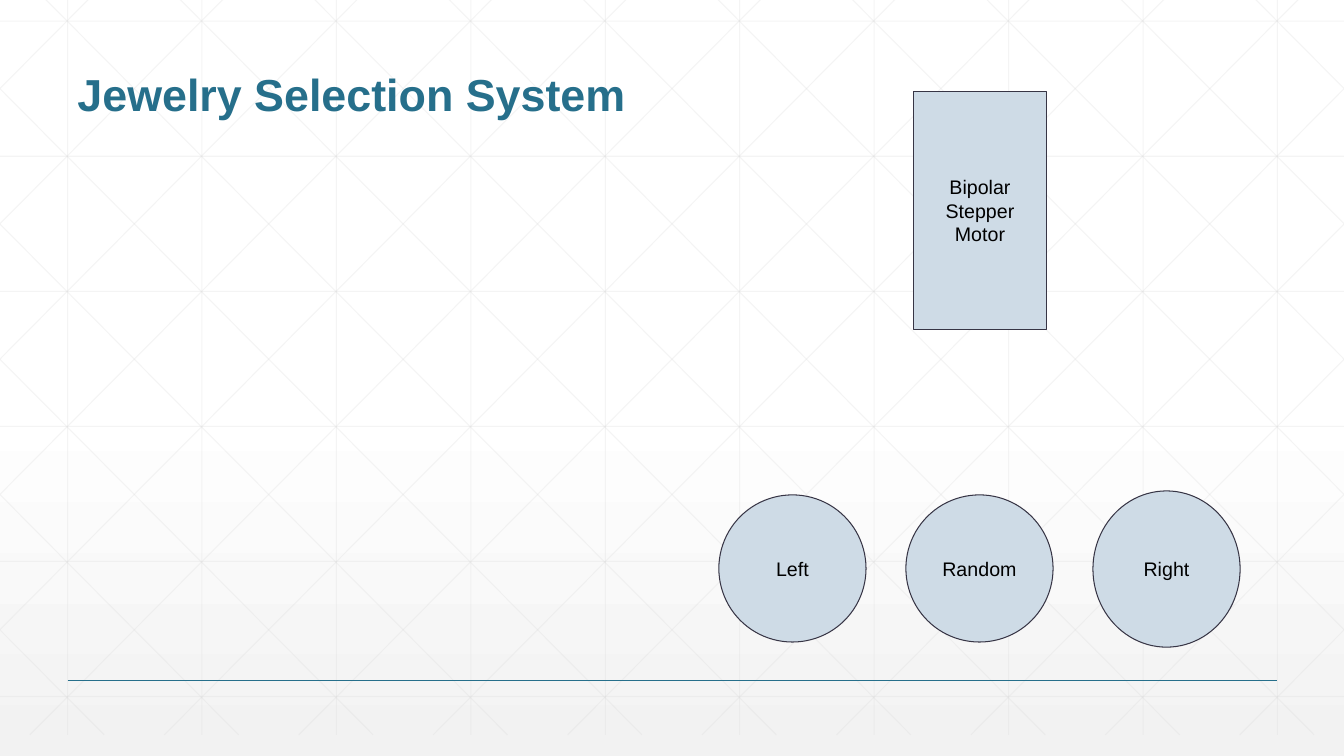
"""Build the Jewelry Selection System slide."""
from copy import deepcopy

from lxml.etree import SubElement
from pptx import Presentation
from pptx.dml.color import RGBColor
from pptx.enum.shapes import MSO_CONNECTOR, MSO_SHAPE
from pptx.enum.text import MSO_ANCHOR, PP_ALIGN
from pptx.oxml.ns import qn
from pptx.util import Inches, Pt

TEAL = RGBColor(0x26, 0x6F, 0x8B)
PALE_BLUE = RGBColor(0xCE, 0xDB, 0xE6)
INK = RGBColor(0x37, 0x35, 0x45)
BLACK = RGBColor(0x00, 0x00, 0x00)
WHITE = RGBColor(0xFF, 0xFF, 0xFF)
MIST = RGBColor(0xF2, 0xF2, 0xF2)
GRID_GRAY = RGBColor(0xD8, 0xD8, 0xD8)

WIDTH, HEIGHT = 13.33, 7.5
TOP, BOTTOM = -0.21, 7.29
STEP = 4 / 3
DIAGONAL_RUN = 7.45


class SlideBuilder:
    """Hold the style and the current slide, and draw elements on it."""

    font = "Arial"

    def __init__(self, deck):
        self.slide = deck.slides.add_slide(deck.slide_layouts[6])

    def background(self):
        fill = self.slide.background.fill
        fill.gradient()
        fill.gradient_angle = 270
        stop_list = self.slide.element.find(".//" + qn("a:gsLst"))
        stop_list.insert(1, deepcopy(stop_list[0]))
        stops = ((0, WHITE), (0.53, WHITE), (1, MIST))
        for stop, (position, color) in zip(fill.gradient_stops, stops):
            stop.position = position
            stop.color.rgb = color

    def line(self, start, end, color, width, opacity=100):
        points = [Inches(value) for value in (*start, *end)]
        connector = self.slide.shapes.add_connector(MSO_CONNECTOR.STRAIGHT, *points)
        connector.line.color.rgb = color
        connector.line.width = Pt(width)
        properties = connector.element.spPr
        if opacity < 100:
            color_node = properties.find(".//" + qn("a:srgbClr"))
            SubElement(color_node, qn("a:alpha")).set("val", str(opacity * 1000))
        SubElement(properties, qn("a:effectLst"))

    def put_text(self, box, text, size, color, bold, frame_format, para_format):
        frame = box.text_frame
        para = frame.paragraphs[0]
        span = para.add_run()
        span.text = text
        span.font.color.rgb = color
        font_format = {"name": self.font, "size": Pt(size), "bold": bold}
        for target, values in (
            (frame, {"word_wrap": True, **frame_format}),
            (para, para_format),
            (span.font, font_format),
        ):
            for name, value in values.items():
                setattr(target, name, value)

    def title(self, text, area):
        box = self.slide.shapes.add_textbox(*map(Inches, area))
        self.put_text(box, text, 32, TEAL, True,
                      {"vertical_anchor": MSO_ANCHOR.BOTTOM}, {"line_spacing": 0.9})

    def block(self, kind, text, area):
        box = self.slide.shapes.add_shape(kind, *map(Inches, area))
        box.shadow.inherit = False
        box.fill.solid()
        box.fill.fore_color.rgb = PALE_BLUE
        box.line.color.rgb = INK
        box.line.width = Pt(0.75)
        sides = ("left", "top", "right", "bottom")
        margins = {f"margin_{side}": Inches(0.1) for side in sides}
        self.put_text(box, text, 14, BLACK, False,
                      {"vertical_anchor": MSO_ANCHOR.MIDDLE, **margins},
                      {"alignment": PP_ALIGN.CENTER})


def grid_lines():
    """Yield the end points of the lattice, with diagonals cut at the edges."""
    for column in range(10):
        x = 0.67 + column * STEP
        yield (x, TOP), (x, BOTTOM)
    for row in range(6):
        y = 0.21 + row * 1.34
        yield (0, y), (WIDTH, y)
    slope = (BOTTOM - TOP) / DIAGONAL_RUN
    for index in range(-5, 10):
        origin = 0.25 + index * STEP
        left, right = max(origin, 0), min(origin + DIAGONAL_RUN, WIDTH)
        upper, lower = (TOP + (x - origin) * slope for x in (left, right))
        yield (left, upper), (right, lower)
        yield (WIDTH - left, upper), (WIDTH - right, lower)


def main():
    """Draw the slide and save it."""
    deck = Presentation()
    deck.slide_width, deck.slide_height = Inches(WIDTH), Inches(HEIGHT)
    page = SlideBuilder(deck)
    page.background()
    for start, end in grid_lines():
        page.line(start, end, GRID_GRAY, 0.75, opacity=25)
    page.line((0.67, 6.75), (12.67, 6.75), TEAL, 1)
    page.title("Jewelry Selection System", (0.67, 0.25, 12, 1))
    page.block(MSO_SHAPE.RECTANGLE, "Bipolar Stepper Motor", (9.06, 0.91, 1.32, 2.36))
    buttons = (("Left", 4.91, 1.46), ("Random", 4.91, 1.46), ("Right", 4.87, 1.55))
    for index, (label, top, height) in enumerate(buttons):
        page.block(MSO_SHAPE.OVAL, label, (7.13 + index * 1.855, top, 1.46, height))
    deck.save("out.pptx")


if __name__ == "__main__":
    main()
